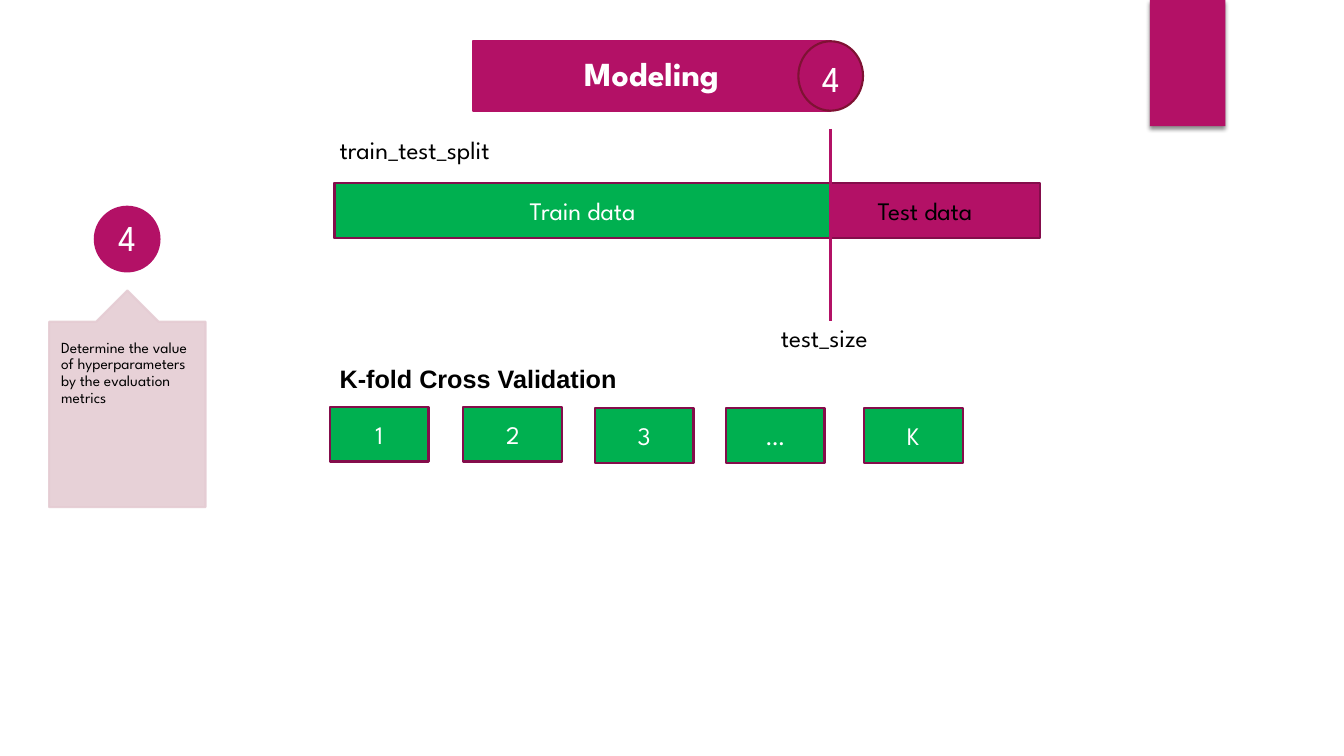
import pptx
import pptx.util
import pptx.oxml
import pptx.oxml.ns
import pptx.dml.color
import pptx.enum.shapes
import pptx.enum.text
from pptx.util import Cm

PINK, GREEN, EDGE = "B31166", "00B050", "840D4B"
WHITE, BLACK, ROSE = "FFFFFF", "000000", "E5CCD3"
FONT = "League Spartan"
KIND = pptx.enum.shapes.MSO_SHAPE
ALIGN = pptx.enum.text.PP_ALIGN
ANCHOR = pptx.enum.text.MSO_ANCHOR
DRAW = pptx.oxml.ns.nsdecls("a")


def paint(shape, fill, line):
    """Set fill and outline, and drop the theme shadow."""
    shape.shadow.inherit = False
    shape.fill.solid()
    shape.fill.fore_color.rgb = pptx.dml.color.RGBColor.from_string(fill)
    if line:
        shape.line.color.rgb = pptx.dml.color.RGBColor.from_string(line)
        shape.line.width = pptx.util.Pt(1.5)
    else:
        shape.line.fill.background()


def write(shape, text, size=18, color=WHITE, align=ALIGN.CENTER,
          anchor=ANCHOR.MIDDLE, font=FONT, bold=False, wrap=True):
    frame = shape.text_frame
    frame.text = text
    frame.word_wrap = wrap
    frame.vertical_anchor = anchor
    para = frame.paragraphs[0]
    para.alignment = align
    para.font.size = pptx.util.Pt(size)
    para.font.name = font
    para.font.bold = bold
    para.font.color.rgb = pptx.dml.color.RGBColor.from_string(color)
    return frame


deck = pptx.Presentation()
deck.slide_width, deck.slide_height = Cm(33.87), Cm(19.05)
slide = deck.slides.add_slide(deck.slide_layouts[5])
shapes = slide.shapes

# Title banner
title = shapes.title
title.left, title.top, title.width, title.height = Cm(11.91), Cm(1.04), Cm(9.02), Cm(1.75)
paint(title, PINK, PINK)
write(title, "Modeling", 24, bold=True).paragraphs[0].line_spacing = 0.9

# Corner tab with a soft shadow
tab = shapes.add_shape(KIND.RECTANGLE, Cm(28.98), 0, Cm(1.9), Cm(3.18))
paint(tab, PINK, None)
glow = tab._element.spPr.find(pptx.oxml.ns.qn("a:effectLst"))
glow.append(pptx.oxml.parse_xml(
    f'<a:outerShdw {DRAW} blurRad="38100" dist="25400" dir="5400000" rotWithShape="0">'
    '<a:srgbClr val="000000"><a:alpha val="45000"/></a:srgbClr></a:outerShdw>'))

# Step badges
for left, top, high, line, drop in [(20.12, 1.04, 1.75, "7E1233", 0.25),
                                    (2.39, 5.21, 1.63, PINK, 0.03)]:
    badge = shapes.add_shape(KIND.OVAL, Cm(left), Cm(top), Cm(1.63), Cm(high))
    paint(badge, PINK, line)
    frame = write(badge, "4", 26)
    frame.margin_left = frame.margin_right = frame.margin_bottom = 0
    frame.margin_top = Cm(drop)
    frame.paragraphs[0].line_spacing = 0.9

# Side note
note = shapes.add_shape(KIND.UP_ARROW_CALLOUT, Cm(1.24), Cm(7.32), Cm(3.94), Cm(5.46))
for index, value in enumerate([0.5, 0.2, 0.2, 1]):
    note.adjustments[index] = value
paint(note, ROSE, ROSE)
for tone in note._element.spPr.iter(pptx.oxml.ns.qn("a:srgbClr")):
    tone.append(pptx.oxml.parse_xml(f'<a:alpha {DRAW} val="90000"/>'))
frame = write(note, "Determine the value of hyperparameters by the evaluation metrics",
              11, BLACK, ALIGN.LEFT, ANCHOR.TOP)
frame.margin_left = frame.margin_right = Cm(0.3)
frame.margin_top = frame.margin_bottom = Cm(0.46)
frame.paragraphs[0].line_spacing = 0.9

# Split bar and folds: left, top, width, height, fill, text
boxes = [(8.43, 4.62, 17.78, 1.37, PINK, ""),
         (8.43, 4.62, 12.5, 1.37, GREEN, "Train data")]
boxes += [(left, top, 2.49, 1.37, GREEN, text) for left, top, text in [
    (8.31, 10.26, "1"), (11.68, 10.26, "2"), (14.99, 10.29, "3"),
    (18.29, 10.29, "…"), (21.77, 10.29, "K")]]
for left, top, wide, high, fill, text in boxes:
    box = shapes.add_shape(KIND.RECTANGLE, Cm(left), Cm(top), Cm(wide), Cm(high))
    paint(box, fill, EDGE)
    if text:
        write(box, text)

# Split marker
mark = shapes.add_connector(pptx.enum.shapes.MSO_CONNECTOR.STRAIGHT,
                            Cm(20.93), Cm(3.25), Cm(20.93), Cm(8.1))
mark.line.color.rgb = pptx.dml.color.RGBColor.from_string(PINK)
mark.line.width = pptx.util.Pt(2.25)
mark._element.spPr.append(pptx.oxml.parse_xml(f"<a:effectLst {DRAW}/>"))

# Labels
for left, top, wide, text, font, bold, wrap in [
        (8.31, 3.25, 16.94, "train_test_split", FONT, False, True),
        (21.87, 4.8, 3.38, "Test data", FONT, False, False),
        (19.43, 8.0, 3.0, "test_size", FONT, False, False),
        (8.31, 9.02, 16.94, "K-fold Cross Validation", "Arial", True, True)]:
    label = shapes.add_textbox(Cm(left), Cm(top), Cm(wide), Cm(1.02))
    frame = write(label, text, 18, BLACK, ALIGN.LEFT, ANCHOR.TOP, font, bold, wrap)
    frame.auto_size = pptx.enum.text.MSO_AUTO_SIZE.SHAPE_TO_FIT_TEXT

deck.save("out.pptx")
